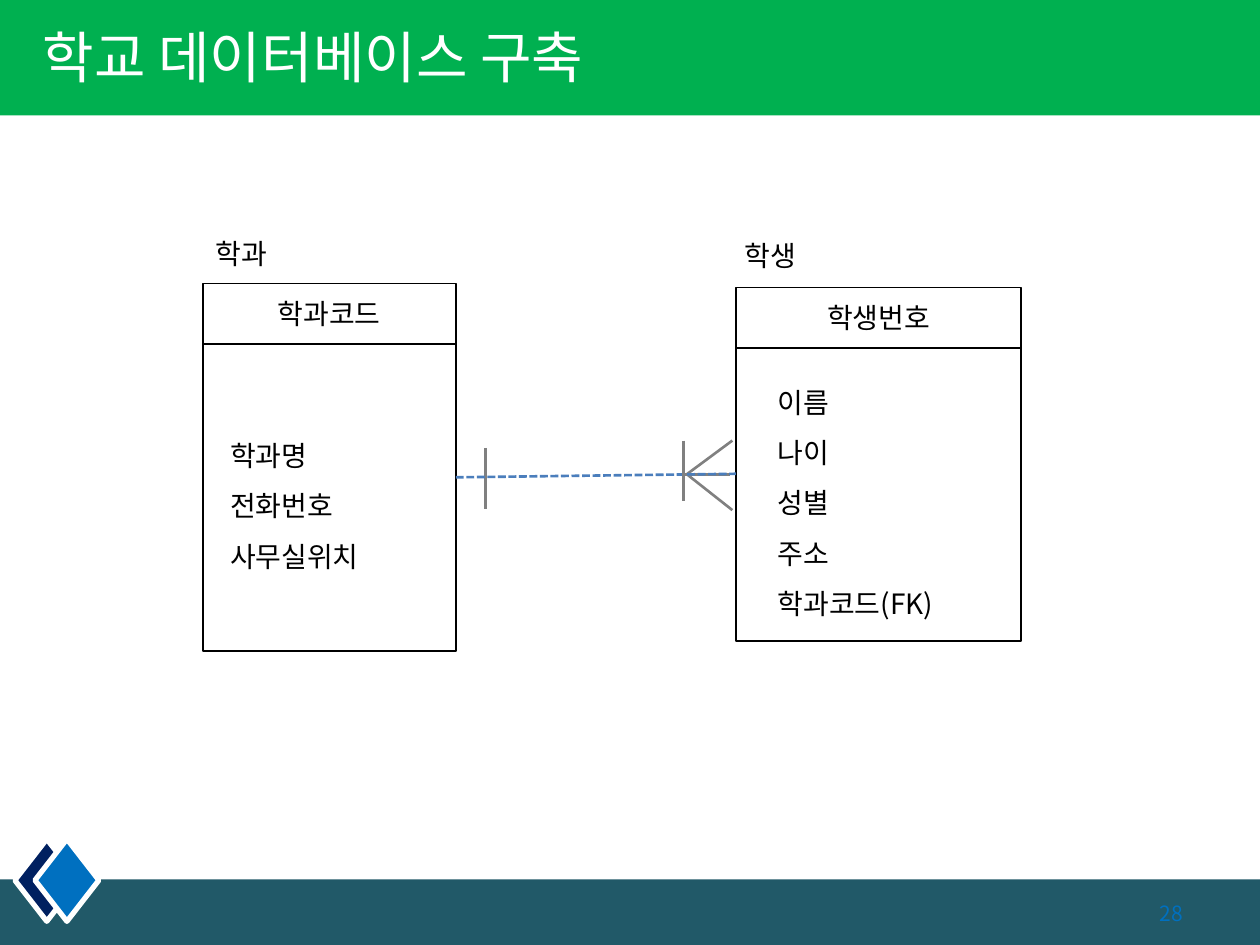
from lxml.etree import SubElement
from pptx import Presentation
from pptx.dml.color import RGBColor
from pptx.enum.dml import MSO_LINE
from pptx.enum.shapes import MSO_CONNECTOR, MSO_SHAPE
from pptx.enum.text import MSO_ANCHOR, MSO_AUTO_SIZE, PP_ALIGN
from pptx.oxml.ns import qn
from pptx.util import Pt

FONT = "Noto Sans CJK KR"
WHITE = RGBColor(0xFF, 0xFF, 0xFF)
BLACK = RGBColor(0x00, 0x00, 0x00)
GREEN = RGBColor(0x00, 0xB0, 0x50)
TEAL = RGBColor(0x21, 0x59, 0x68)
NAVY = RGBColor(0x00, 0x20, 0x60)
BLUE = RGBColor(0x00, 0x70, 0xC0)
GRAY = RGBColor(0x80, 0x80, 0x80)
LINK_BLUE = RGBColor(0x4B, 0x7E, 0xBC)

presentation = Presentation()
presentation.slide_width, presentation.slide_height = Pt(720), Pt(540)
slide = presentation.slides.add_slide(presentation.slide_layouts[5])
shapes = slide.shapes


def write(shape, text, size=16, color=BLACK, align=PP_ALIGN.LEFT, spacing=1.0):
    """Fill a shape with text, one paragraph per line."""
    frame = shape.text_frame
    frame.text = text
    frame.word_wrap = True
    for paragraph in frame.paragraphs:
        paragraph.alignment = align
        paragraph.line_spacing = spacing
        for run in paragraph.runs:
            run.font.name = FONT
            run.font.size = Pt(size)
            run.font.color.rgb = color
            SubElement(run.font._element, qn("a:ea"), typeface=FONT)


def add_block(kind, left, top, width, height, fill=None, line=None, weight=1):
    shape = shapes.add_shape(kind, Pt(left), Pt(top), Pt(width), Pt(height))
    shape.shadow.inherit = False
    if fill is None:
        shape.fill.background()
    else:
        shape.fill.solid()
        shape.fill.fore_color.rgb = fill
    if line is None:
        shape.line.fill.background()
    else:
        shape.line.color.rgb = line
        shape.line.width = Pt(weight)
    return shape


# Footer, diamonds and title band
add_block(MSO_SHAPE.RECTANGLE, 0, 502.5, 720, 37.5, TEAL)
for left, color in ((8.5, NAVY), (20, BLUE)):
    add_block(MSO_SHAPE.DIAMOND, left, 479.5, 36.5, 47, color, WHITE, 3)
band = add_block(MSO_SHAPE.RECTANGLE, 0, 0, 720, 66, GREEN)

title = shapes.title
band.element.addnext(title.element)
title.left, title.top, title.width, title.height = Pt(0), Pt(-1.5), Pt(569.5), Pt(67.5)
write(title, "학교 데이터베이스 구축", 32, WHITE)
title.text_frame.margin_left = Pt(24.5)
title.text_frame.vertical_anchor = MSO_ANCHOR.MIDDLE

number = shapes.add_textbox(Pt(611), Pt(508), Pt(72), Pt(28))
write(number, "28", 12, BLUE, PP_ALIGN.RIGHT)
number.text_frame.vertical_anchor = MSO_ANCHOR.MIDDLE

# Entities: name, name left and top, box left, top, width, body height, key, columns, indent
KEY_HEIGHT = 34.5
entities = (
    ("학과", 116, 131.5, 116, 162, 144.5, 175.5, "학과코드",
     ("학과명", "전화번호", "사무실위치"), 15.5),
    ("학생", 418.5, 132.5, 420.5, 164.25, 163, 167.5, "학생번호",
     ("이름", "나이", "성별", "주소", "학과코드(FK)"), 24),
)
for name, name_left, name_top, left, top, width, height, key, columns, indent in entities:
    key_box = add_block(MSO_SHAPE.RECTANGLE, left, top, width, KEY_HEIGHT, line=BLACK)
    write(key_box, key, align=PP_ALIGN.CENTER)

    body = add_block(MSO_SHAPE.RECTANGLE, left, top + KEY_HEIGHT, width, height, line=BLACK)
    write(body, "\n".join(columns), spacing=1.5)
    body.text_frame.margin_left = Pt(indent)
    for box in (key_box, body):
        box.text_frame.vertical_anchor = MSO_ANCHOR.MIDDLE

    label = shapes.add_textbox(Pt(name_left), Pt(name_top), Pt(59), Pt(26.5))
    write(label, name)
    label.text_frame.auto_size = MSO_AUTO_SIZE.SHAPE_TO_FIT_TEXT

# One-to-many relationship with crow's foot
relationship = (
    (392.5, 271, 418.5, 251.75, GRAY, None),
    (392.5, 271, 418.5, 291.5, GRAY, None),
    (391, 271, 417, 271, GRAY, None),
    (277.5, 256, 277.5, 291, GRAY, None),
    (260.5, 272.75, 420.5, 270.75, LINK_BLUE, MSO_LINE.SQUARE_DOT),
    (390.75, 251.75, 390.75, 286.5, GRAY, None),
)
for x1, y1, x2, y2, color, dash in relationship:
    connector = shapes.add_connector(MSO_CONNECTOR.STRAIGHT, Pt(x1), Pt(y1), Pt(x2), Pt(y2))
    connector.line.color.rgb = color
    connector.line.width = Pt(1.5)
    if dash is not None:
        connector.line.dash_style = dash
    SubElement(connector.element.spPr, qn("a:effectLst"))

presentation.save("out.pptx")
